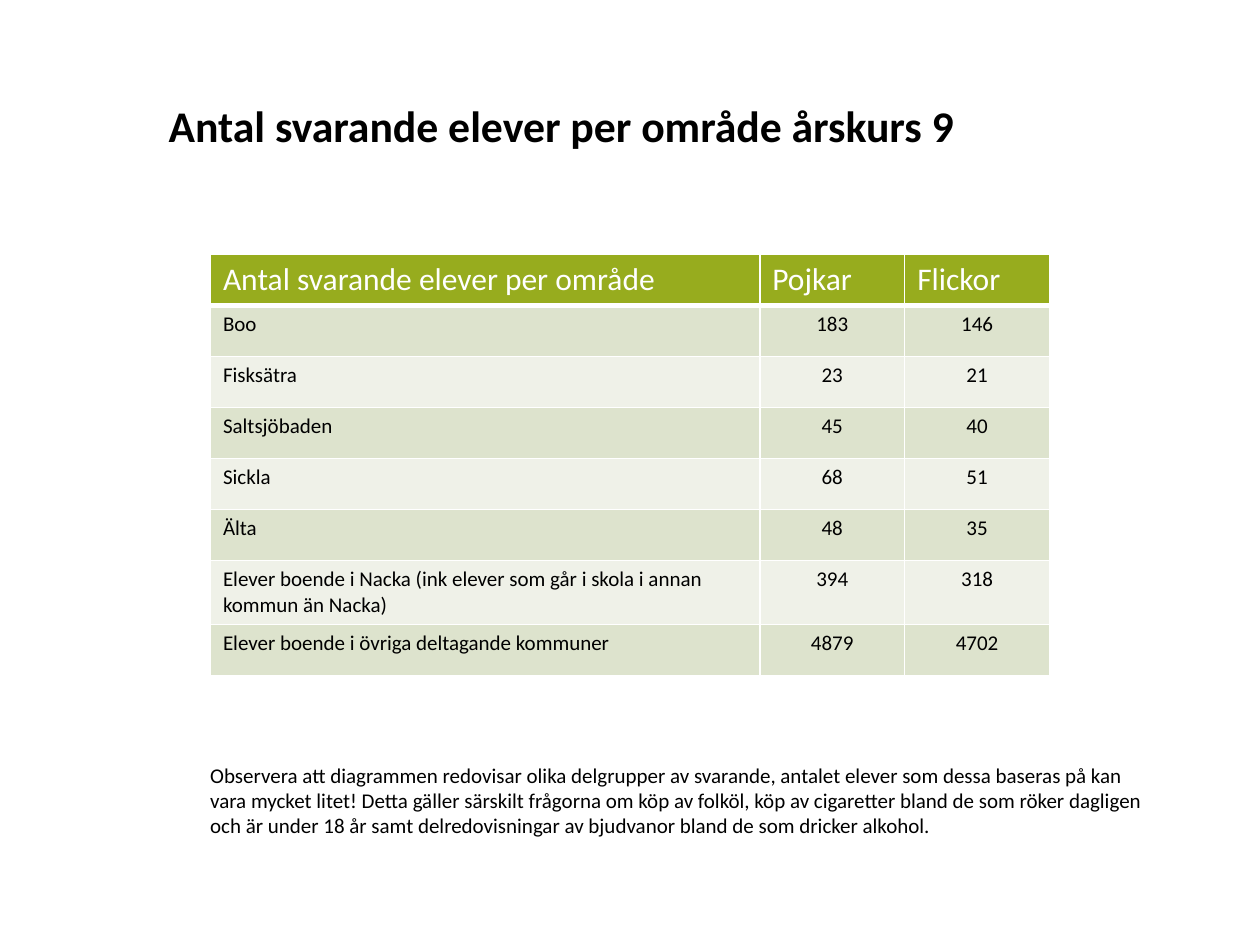
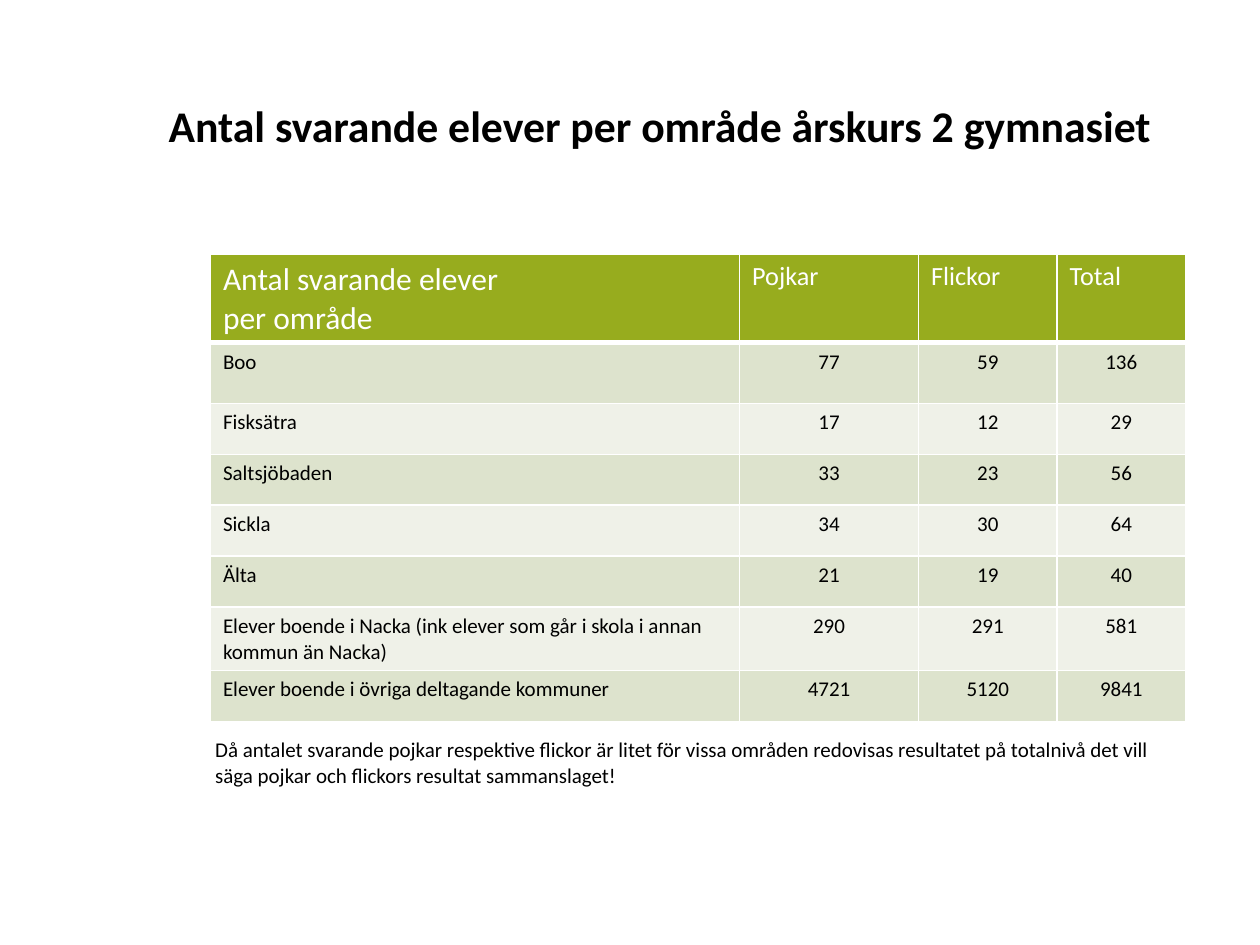
from dataclasses import dataclass

from lxml import etree
from pptx import Presentation
from pptx.dml.color import RGBColor
from pptx.enum.text import MSO_ANCHOR, MSO_AUTO_SIZE, PP_ALIGN
from pptx.oxml.ns import qn
from pptx.util import Inches, Pt

LEFT, CENTER = PP_ALIGN.LEFT, PP_ALIGN.CENTER
MIDDLE, TOP = MSO_ANCHOR.MIDDLE, MSO_ANCHOR.TOP
GROW, FIXED = MSO_AUTO_SIZE.SHAPE_TO_FIT_TEXT, MSO_AUTO_SIZE.NONE


@dataclass(frozen=True)
class Theme:
    """Colours, font and type sizes shared by the slides."""
    font: str = "Calibri"
    black: str = "000000"
    white: str = "FFFFFF"
    header: str = "97AC1E"
    bands: tuple = ("DDE3CD", "EFF1E8")
    title_size: int = 25
    header_size: int = 18
    body_size: int = 12
    title_leading: int = 40
    border: int = 1
    header_border: int = 3


THEME = Theme()
TITLE_BOX = (1.24, 0.3, 8.49, 1.25)
TABLE_HEIGHT = 3.24
AREAS = (
    "Boo", "Fisksätra", "Saltsjöbaden", "Sickla", "Älta",
    "Elever boende i Nacka (ink elever som går i skola i annan kommun än Nacka)",
    "Elever boende i övriga deltagande kommuner",
)
SURVEYS = (
    {
        "title": "Antal svarande elever per område årskurs 9",
        "headings": ("Antal svarande elever per område", "Pojkar", "Flickor"),
        "counts": ((183, 146), (23, 21), (45, 40), (68, 51), (48, 35),
                   (394, 318), (4879, 4702)),
        "widths": (4.36, 1.15, 1.15),
        "group_size": 18,
        "row_heights": {},
        "note": "Observera att diagrammen redovisar olika delgrupper av svarande, "
                "antalet elever som dessa baseras på kan vara mycket litet! Detta "
                "gäller särskilt frågorna om köp av folköl, köp av cigaretter bland "
                "de som röker dagligen och är under 18 år samt delredovisningar av "
                "bjudvanor bland de som dricker alkohol.",
        "note_box": (1.57, 6, 7.76, 0.71),
    },
    {
        "title": "Antal svarande elever per område årskurs 2 gymnasiet",
        "headings": ("Antal svarande elever\vper område", "Pojkar", "Flickor", "Total"),
        "counts": ((77, 59, 136), (17, 12, 29), (33, 23, 56), (34, 30, 64),
                   (21, 19, 40), (290, 291, 581), (4721, 5120, 9841)),
        "widths": (4.2, 1.42, 1.1, 1.02),
        "group_size": 15,
        "row_heights": {1: 0.48},
        "note": "Då antalet svarande pojkar respektive flickor är litet för vissa "
                "områden redovisas resultatet på totalnivå det vill säga pojkar och "
                "flickors resultat sammanslaget!",
        "note_box": (1.61, 5.8, 7.76, 0.51),
    },
)


def write_text(frame, text, size, color=THEME.black, bold=False, align=LEFT):
    """Fill the first paragraph of a text frame and return it."""
    para = frame.paragraphs[0]
    para.text = text
    para.alignment = align
    for span in para.runs:
        span.font.color.rgb = RGBColor.from_string(color)
        for name, value in {"name": THEME.font, "size": Pt(size), "bold": bold}.items():
            setattr(span.font, name, value)
    return para


def add_text(page, box, text, size, bold=False, anchor=TOP, auto_size=FIXED):
    """Add a wrapping text box and return its paragraph."""
    frame = page.shapes.add_textbox(*map(Inches, box)).text_frame
    settings = {"word_wrap": True, "auto_size": auto_size, "vertical_anchor": anchor}
    for name, value in settings.items():
        setattr(frame, name, value)
    return write_text(frame, text, size, bold=bold)


def add_title(page, box, text):
    """Add the bold slide title."""
    para = add_text(page, box, text, THEME.title_size, bold=True, anchor=MIDDLE)
    para.line_spacing = Pt(THEME.title_leading)


def style_cell(cell, fill, bottom_width):
    """Give a cell white borders and a solid fill."""
    properties = cell._tc.get_or_add_tcPr()
    widths = {"lnL": THEME.border, "lnR": THEME.border,
              "lnT": THEME.border, "lnB": bottom_width}
    for tag, width in widths.items():
        line = etree.SubElement(properties, qn(f"a:{tag}"), w=str(Pt(width)))
        solid = etree.SubElement(line, qn("a:solidFill"))
        etree.SubElement(solid, qn("a:srgbClr"), val=THEME.white)
    cell.fill.solid()
    cell.fill.fore_color.rgb = RGBColor.from_string(fill)


def add_counts_table(page, box, survey):
    """Add the table of answering pupils per area."""
    rows = [survey["headings"]]
    rows += [(area, *counts) for area, counts in zip(AREAS, survey["counts"])]
    widths = survey["widths"]
    table = page.shapes.add_table(len(rows), len(widths), *map(Inches, box)).table
    for column, width in zip(table.columns, widths):
        column.width = Inches(width)
    for index, height in survey["row_heights"].items():
        table.rows[index].height = Inches(height)
    for row_index, row in enumerate(rows):
        is_header = row_index == 0
        fill = THEME.header if is_header else THEME.bands[(row_index - 1) % 2]
        color = THEME.white if is_header else THEME.black
        bottom_width = THEME.header_border if is_header else THEME.border
        for column_index, value in enumerate(row):
            cell = table.cell(row_index, column_index)
            style_cell(cell, fill, bottom_width)
            size = THEME.body_size
            if is_header:
                size = survey["group_size"] if column_index else THEME.header_size
            align = CENTER if column_index and not is_header else LEFT
            write_text(cell.text_frame, str(value), size, color, align=align)


def add_survey_page(deck, survey):
    """Add one slide with title, table and note."""
    page = deck.slides.add_slide(deck.slide_layouts[6])
    add_title(page, TITLE_BOX, survey["title"])
    table_box = (1.67, 2.02, sum(survey["widths"]), TABLE_HEIGHT)
    add_counts_table(page, table_box, survey)
    add_text(page, survey["note_box"], survey["note"], THEME.body_size, auto_size=GROW)


def main():
    """Build and save the deck."""
    deck = Presentation()
    deck.slide_width, deck.slide_height = Inches(10), Inches(7.5)
    for survey in SURVEYS:
        add_survey_page(deck, survey)
    deck.save("out.pptx")


if __name__ == "__main__":
    main()
